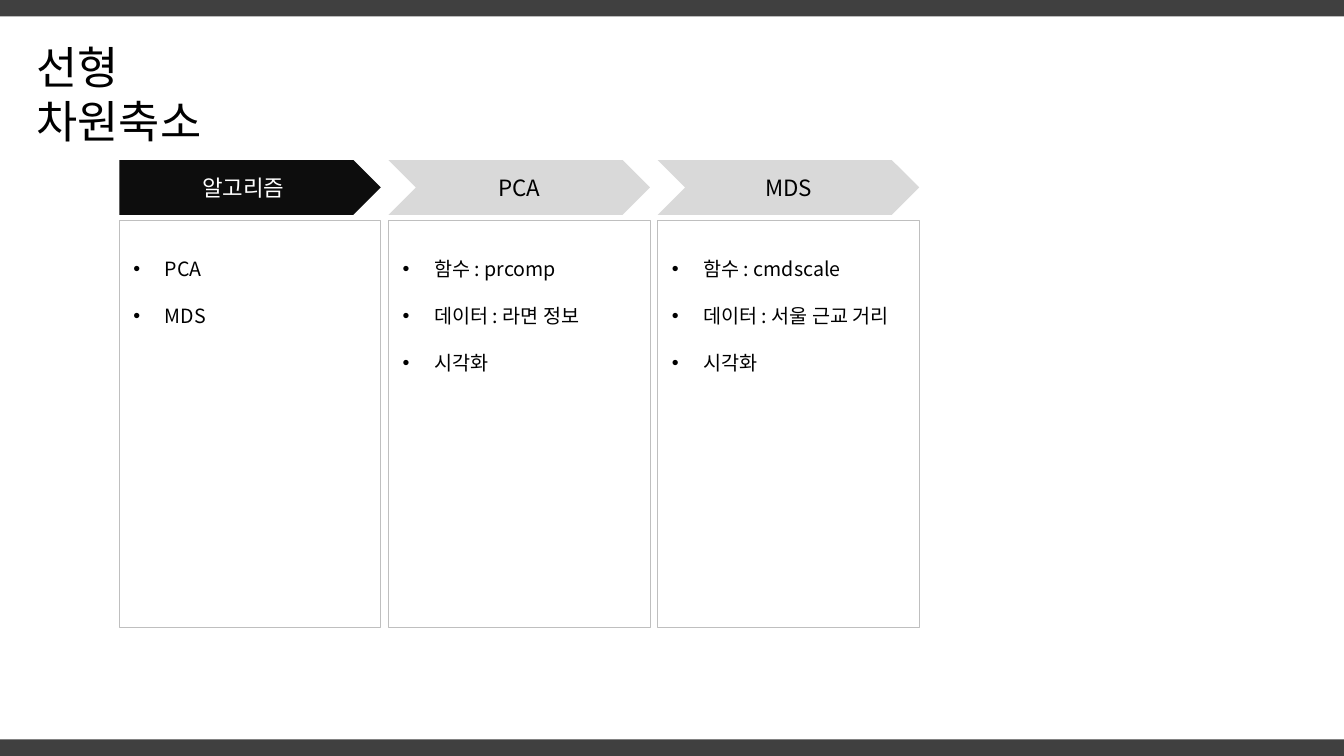
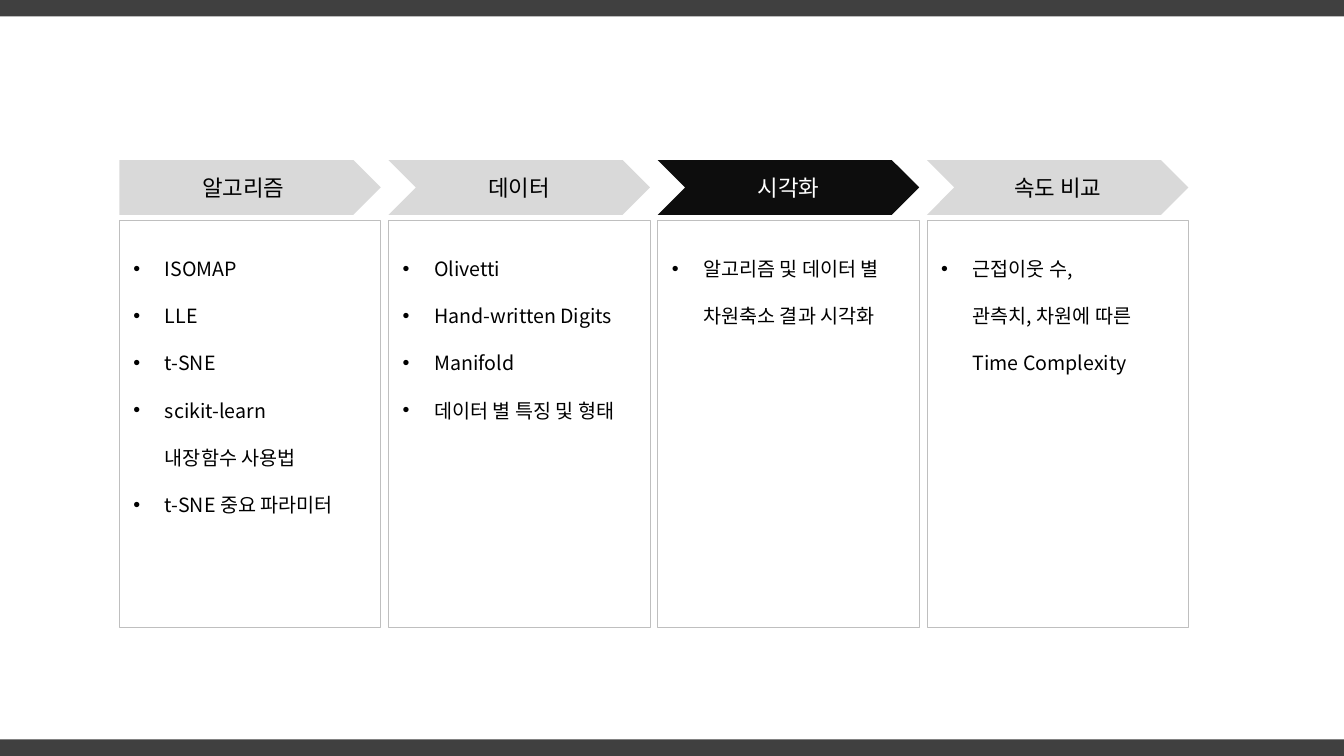
from dataclasses import dataclass

from lxml import etree
from pptx import Presentation
from pptx.dml.color import RGBColor
from pptx.enum import shapes, text
from pptx.oxml import ns
from pptx.util import Pt

# Each column: heading, bullets. A line feed inside a bullet is a line break.
SLIDES = [
    {
        "title": "선형\n차원축소",
        "active": 0,
        "columns": [
            ("알고리즘", ["PCA", "MDS"]),
            ("PCA", ["함수 : prcomp", "데이터 : 라면 정보", "시각화"]),
            ("MDS", ["함수 : cmdscale", "데이터 : 서울 근교 거리", "시각화"]),
        ],
    },
    {
        "title": None,
        "active": 2,
        "columns": [
            ("알고리즘", ["ISOMAP", "LLE", "t-SNE", "scikit-learn\n내장함수 사용법",
                      "t-SNE 중요 파라미터"]),
            ("데이터", ["Olivetti", "Hand-written Digits", "Manifold",
                     "데이터 별 특징 및 형태"]),
            ("시각화", ["알고리즘 및 데이터 별\n차원축소 결과 시각화"]),
            ("속도 비교", ["근접이웃 수,\n관측치, 차원에 따른\nTime Complexity"]),
        ],
    },
]


@dataclass(frozen=True)
class Theme:
    font: str = "Noto Sans CJK KR"
    title_size: int = 32
    heading_size: int = 16
    body_size: int = 14
    ink: str = "000000"
    paper: str = "FFFFFF"
    band: str = "404040"
    active: str = "0D0D0D"
    idle: str = "D9D9D9"
    frame: str = "BFBFBF"


THEME = Theme()
SLIDE_WIDTH, SLIDE_HEIGHT = 960, 540
BAND_HEIGHT = 11.8
COLUMN_LEFT, COLUMN_WIDTH, COLUMN_GAP = 85.2, 186.8, 5.5
HEADING_TOP, HEADING_HEIGHT = 114.3, 39.2
FRAME_TOP, FRAME_HEIGHT = 157.4, 291
BODY_TOP, BODY_WIDTH, BODY_INSET = 163.4, 170, 3
BULLET_INDENT = 22.5


def add_text(paragraph, content, size, color):
    """Write content as runs, with a line break at each line feed."""
    for index, line in enumerate(content.split("\n")):
        if index:
            paragraph.add_line_break()
        run = paragraph.add_run()
        run.text = line
        run.font.size = Pt(size)
        run.font.color.rgb = RGBColor.from_string(color)
        run.font.name = THEME.font
        east_asian = etree.SubElement(run._r.get_or_add_rPr(), ns.qn("a:ea"))
        east_asian.set("typeface", THEME.font)


def add_shape(slide, kind, box, fill=None, line=None):
    shape = slide.shapes.add_shape(kind, *map(Pt, box))
    shape.shadow.inherit = False
    if fill:
        shape.fill.solid()
        shape.fill.fore_color.rgb = RGBColor.from_string(fill)
    else:
        shape.fill.background()
    if line:
        shape.line.color.rgb = RGBColor.from_string(line)
        shape.line.width = Pt(0.5)
    else:
        shape.line.fill.background()
    return shape


def add_bands(slide):
    for top in (0, SLIDE_HEIGHT - BAND_HEIGHT):
        add_shape(slide, shapes.MSO_SHAPE.RECTANGLE,
                  (0, top, SLIDE_WIDTH, BAND_HEIGHT), fill=THEME.band)


def add_title(slide, title):
    frame = slide.shapes.add_textbox(Pt(19), Pt(25), Pt(193), Pt(84)).text_frame
    frame.word_wrap = False
    add_text(frame.paragraphs[0], title, THEME.title_size, THEME.ink)


def add_heading(slide, left, heading, is_first, is_active):
    kind = shapes.MSO_SHAPE.PENTAGON if is_first else shapes.MSO_SHAPE.CHEVRON
    shape = add_shape(slide, kind, (left, HEADING_TOP, COLUMN_WIDTH, HEADING_HEIGHT),
                      fill=THEME.active if is_active else THEME.idle)
    shape.text_frame.vertical_anchor = text.MSO_ANCHOR.MIDDLE
    paragraph = shape.text_frame.paragraphs[0]
    paragraph.alignment = text.PP_ALIGN.CENTER
    add_text(paragraph, heading, THEME.heading_size,
             THEME.paper if is_active else THEME.ink)


def set_bullet(paragraph):
    properties = paragraph._p.get_or_add_pPr()
    properties.set("marL", str(Pt(BULLET_INDENT)))
    properties.set("indent", str(-Pt(BULLET_INDENT)))
    etree.SubElement(properties, ns.qn("a:buFont")).set("typeface", "Arial")
    etree.SubElement(properties, ns.qn("a:buChar")).set("char", "•")


def add_bullets(slide, left, bullets):
    box = (left + BODY_INSET, BODY_TOP, BODY_WIDTH, FRAME_HEIGHT - 2 * BODY_INSET)
    frame = slide.shapes.add_textbox(*map(Pt, box)).text_frame
    frame.word_wrap = True
    for index, bullet in enumerate(bullets):
        paragraph = frame.add_paragraph() if index else frame.paragraphs[0]
        set_bullet(paragraph)
        paragraph.line_spacing = 2.0
        add_text(paragraph, bullet, THEME.body_size, THEME.ink)


def add_columns(slide, columns, active):
    for index, (heading, bullets) in enumerate(columns):
        left = COLUMN_LEFT + index * (COLUMN_WIDTH + COLUMN_GAP)
        add_shape(slide, shapes.MSO_SHAPE.RECTANGLE,
                  (left, FRAME_TOP, COLUMN_WIDTH, FRAME_HEIGHT), line=THEME.frame)
        add_heading(slide, left, heading, index == 0, index == active)
        add_bullets(slide, left, bullets)


def main():
    presentation = Presentation()
    presentation.slide_width = Pt(SLIDE_WIDTH)
    presentation.slide_height = Pt(SLIDE_HEIGHT)
    for content in SLIDES:
        slide = presentation.slides.add_slide(presentation.slide_layouts[6])
        add_bands(slide)
        if content["title"]:
            add_title(slide, content["title"])
        add_columns(slide, content["columns"], content["active"])
    presentation.save("out.pptx")


if __name__ == "__main__":
    main()
